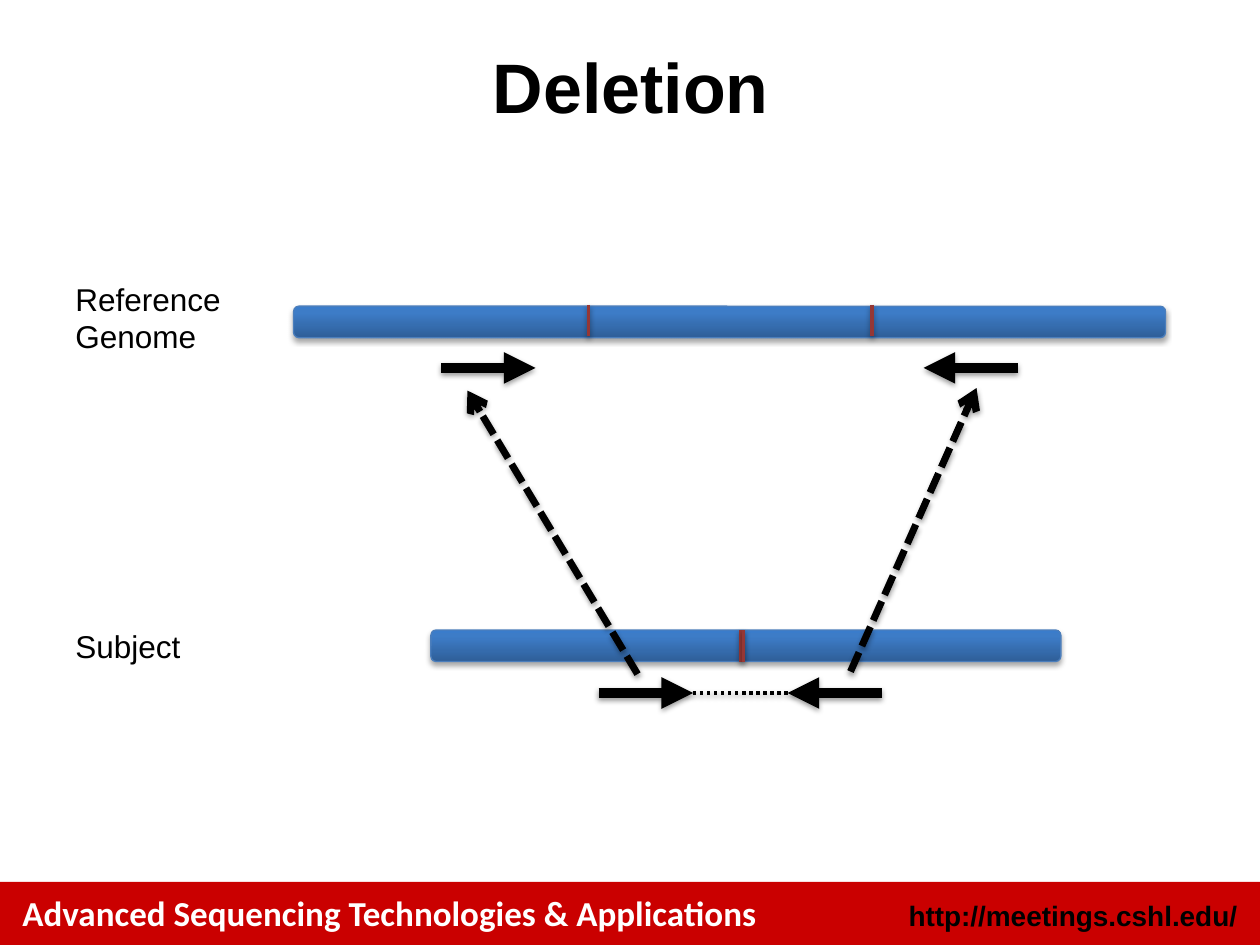
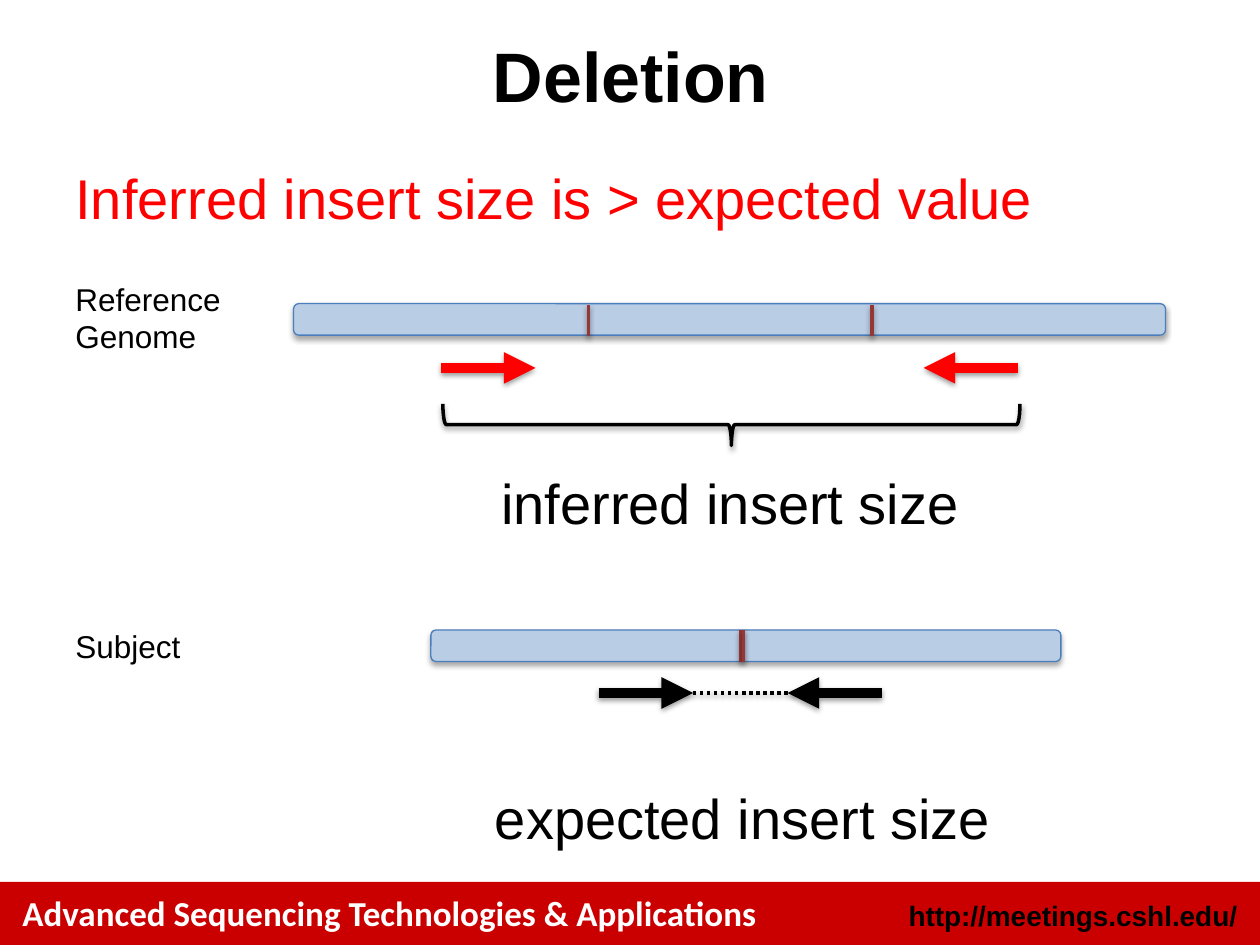
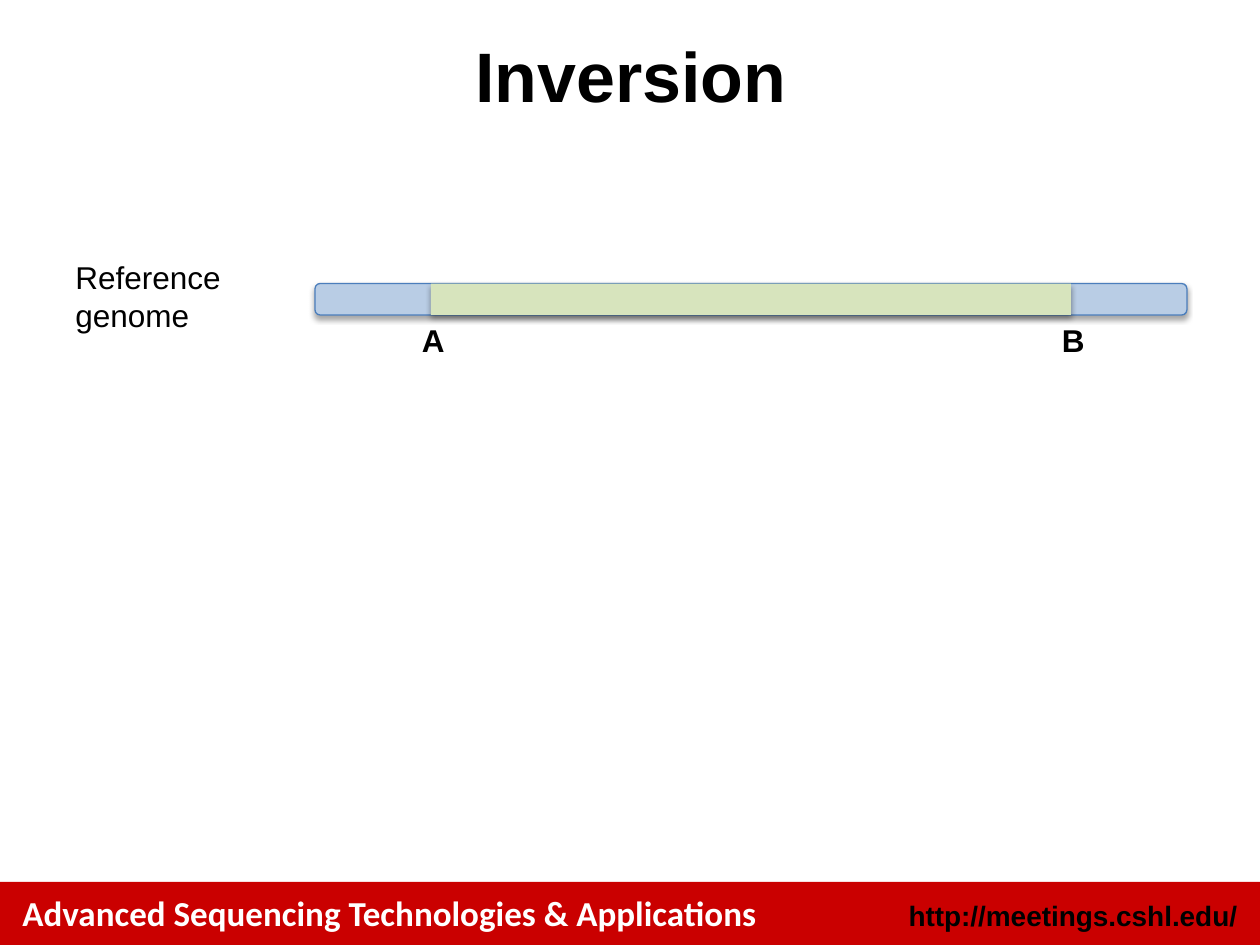
import copy

import pptx
import pptx.util
from pptx.dml.color import RGBColor
from pptx.enum.dml import MSO_LINE
from pptx.enum.shapes import MSO_CONNECTOR, MSO_SHAPE
from pptx.enum.text import MSO_ANCHOR, MSO_AUTO_SIZE, PP_ALIGN
from pptx.oxml import parse_xml
from pptx.oxml.ns import nsdecls
from pptx.util import Inches

BLACK, WHITE, RED, BAND_RED = "000000", "FFFFFF", "FF0000", "CA0000"
PALE_BLUE, PALE_GREEN, BAR_OUTLINE, BREAKPOINT = "B9CDE5", "D7E4BD", "4B7EBC", "953735"
BLUE_GRADIENT = [(0, "2F5F99"), (0.8, "3D7CC7"), (1, "3A7CCB")]
FONT = "Arial"


def rgb(colour):
    return RGBColor.from_string(colour)


def add_text(slide, text, left, top, width, height, size=18, colour=BLACK,
             bold=False, font=FONT, wrap=True, alignment=PP_ALIGN.LEFT):
    box = slide.shapes.add_textbox(Inches(left), Inches(top), Inches(width), Inches(height))
    frame = box.text_frame
    frame.text = text
    frame.word_wrap = wrap
    frame.auto_size = MSO_AUTO_SIZE.SHAPE_TO_FIT_TEXT
    paragraph = frame.paragraphs[0]
    paragraph.alignment = alignment
    run = paragraph.runs[0]
    run.font.name = font
    run.font.size = pptx.util.Pt(size)
    run.font.bold = bold
    run.font.color.rgb = rgb(colour)
    return box


# Lines: start, end, colour, width, dash, arrowhead
breakpoints = [((x, top), (x, top + 0.25), BREAKPOINT, 2, None, None)
               for x, top in [(4.67, 2.42), (6.92, 2.42), (5.88, 5), (5.9, 5)]]
subject_reads = [
    ((4.75, 5.5), (5.5, 5.5), BLACK, 6, None, "triangle"),
    ((7, 5.5), (6.25, 5.5), BLACK, 6, None, "triangle"),
    ((5.33, 5.5), (6.33, 5.5), BLACK, 2, MSO_LINE.ROUND_DOT, None),
]
mapping_arrows = [
    ((5.06, 5.35), (3.71, 3.1), BLACK, 4, MSO_LINE.SQUARE_DOT, "arrow"),
    ((6.75, 5.33), (7.75, 3.08), BLACK, 4, MSO_LINE.SQUARE_DOT, "arrow"),
]
mapped_reads = {colour: [((3.5, 2.92), (4.25, 2.92), colour, 6, None, "triangle"),
                         ((8.08, 2.92), (7.33, 2.92), colour, 6, None, "triangle")]
                for colour in (BLACK, RED)}

# Texts: text, left, top, width, height, options
deletion_labels = [("Reference Genome", 0.5, 2.17, 1.42, 0.71, {}),
                   ("Subject", 0.5, 4.93, 1.42, 0.4, {})]
large = {"size": 32, "wrap": False}
marker = {"bold": True, "wrap": False}

# Bars: preset, left, top, width, fill, outline
rounded = MSO_SHAPE.ROUNDED_RECTANGLE
slides = [
    {"title": "Deletion", "title_top": 0.05, "brace": False,
     "bars": [(rounded, 2.33, 2.43, 6.92, BLUE_GRADIENT, BAR_OUTLINE),
              (rounded, 3.42, 5, 5, BLUE_GRADIENT, BAR_OUTLINE)],
     "lines": breakpoints + subject_reads + mapped_reads[BLACK] + mapping_arrows,
     "texts": deletion_labels},
    {"title": "Deletion", "title_top": -0.03, "brace": True,
     "bars": [(rounded, 2.33, 2.41, 6.92, PALE_BLUE, BAR_OUTLINE),
              (rounded, 3.42, 5, 5, PALE_BLUE, BAR_OUTLINE)],
     "lines": breakpoints + subject_reads + mapped_reads[RED],
     "texts": deletion_labels + [
         ("Inferred insert size is > expected value", 0.5, 1.25, 8.58, 0.64,
          {"size": 32, "colour": RED}),
         ("expected insert size", 3.83, 6.17, 4.17, 0.64, large),
         ("inferred insert size", 3.88, 3.67, 3.87, 0.64, large)]},
    {"title": "Inversion", "title_top": -0.03, "brace": False,
     "bars": [(rounded, 2.5, 2.25, 6.92, PALE_BLUE, BAR_OUTLINE),
              (MSO_SHAPE.RECTANGLE, 3.42, 2.25, 5.08, PALE_GREEN, None)],
     "lines": [],
     "texts": [("Reference genome", 0.5, 2, 1.42, 0.71, {}),
               ("A", 3.25, 2.5, 0.38, 0.4, marker),
               ("B", 8.33, 2.5, 0.38, 0.4, marker)]},
]

presentation = pptx.Presentation()
presentation.slide_width = Inches(10)
presentation.slide_height = Inches(7.5)
title_only = presentation.slide_layouts[5]

for content in slides:
    slide = presentation.slides.add_slide(title_only)
    title = slide.shapes.title
    title.left, title.top = Inches(0.17), Inches(content["title_top"])
    title.width, title.height = Inches(9.67), Inches(1.25)
    title.text_frame.text = content["title"]
    title.text_frame.vertical_anchor = MSO_ANCHOR.MIDDLE
    paragraph = title.text_frame.paragraphs[0]
    paragraph.alignment = PP_ALIGN.CENTER
    run = paragraph.runs[0]
    run.font.name = FONT
    run.font.size = pptx.util.Pt(40)
    run.font.bold = True
    run.font.color.rgb = rgb(BLACK)

    shadowed = []  # shape, opacity in percent, distance in points
    for preset, left, top, width, fill, outline in content["bars"]:
        bar = slide.shapes.add_shape(preset, Inches(left), Inches(top), Inches(width), Inches(0.25))
        if fill == BLUE_GRADIENT:
            bar.fill.gradient()
            bar.fill.gradient_angle = 90
            stop_list = bar.element.spPr.find(".//" + pptx.oxml.ns.qn("a:gsLst"))
            stop_list.append(copy.deepcopy(stop_list[-1]))
            for stop, (position, colour) in zip(bar.fill.gradient_stops, BLUE_GRADIENT):
                stop.position = position
                stop.color.rgb = rgb(colour)
        else:
            bar.fill.solid()
            bar.fill.fore_color.rgb = rgb(fill)
        if outline:
            bar.line.color.rgb = rgb(outline)
            bar.line.width = pptx.util.Pt(0.75)
        else:
            bar.line.fill.background()
        shadowed.append((bar, 35, 1.8))

    for start, end, colour, width, dash, arrowhead in content["lines"]:
        connector = slide.shapes.add_connector(
            MSO_CONNECTOR.STRAIGHT, *(Inches(value) for value in start + end))
        connector.line.color.rgb = rgb(colour)
        connector.line.width = pptx.util.Pt(width)
        if dash:
            connector.line.dash_style = dash
        if arrowhead:
            line_element = connector.element.spPr.find(pptx.oxml.ns.qn("a:ln"))
            line_element.append(parse_xml(f'<a:tailEnd {nsdecls("a")} type="{arrowhead}"/>'))
        shadowed.append((connector, 38, 1.6))

    if content["brace"]:
        brace = slide.shapes.add_shape(MSO_SHAPE.LEFT_BRACE, Inches(5.64), Inches(1.08),
                                       Inches(0.33), Inches(4.58))
        brace.rotation = 270
        brace.fill.background()
        brace.line.color.rgb = rgb(BLACK)
        brace.line.width = pptx.util.Pt(2)
        shadowed.append((brace, 38, 1.6))

    for shape, opacity, distance in shadowed:
        shape.element.spPr.append(parse_xml(
            f'<a:effectLst {nsdecls("a")}><a:outerShdw blurRad="{pptx.util.Pt(3.1)}" '
            f'dist="{pptx.util.Pt(distance)}" dir="5400000" rotWithShape="0">'
            f'<a:srgbClr val="{BLACK}"><a:alpha val="{opacity * 1000}"/></a:srgbClr>'
            '</a:outerShdw></a:effectLst>'))

    for text, left, top, width, height, options in content["texts"]:
        add_text(slide, text, left, top, width, height, **options)

# The footer is drawn on the first slide and then moved to the slide master.
first_slide = presentation.slides[0]
band = first_slide.shapes.add_shape(MSO_SHAPE.RECTANGLE, 0, Inches(7), Inches(10), Inches(0.5))
band.shadow.inherit = False
band.fill.solid()
band.fill.fore_color.rgb = rgb(BAND_RED)
band.line.fill.background()
course = add_text(first_slide, "Advanced Sequencing Technologies & Applications",
                  0.08, 7.03, 7.33, 0.43, size=20, colour=WHITE, bold=True, font="Calibri")
address = add_text(first_slide, "http://meetings.cshl.edu/", 6.75, 7.08, 3.17, 0.37,
                   size=16, bold=True, alignment=PP_ALIGN.RIGHT)
for shape_id, shape in enumerate([band, course, address], start=20):
    shape.element.nvSpPr.cNvPr.id = shape_id
    presentation.slide_master.shapes.element.append(shape.element)

presentation.save("out.pptx")
